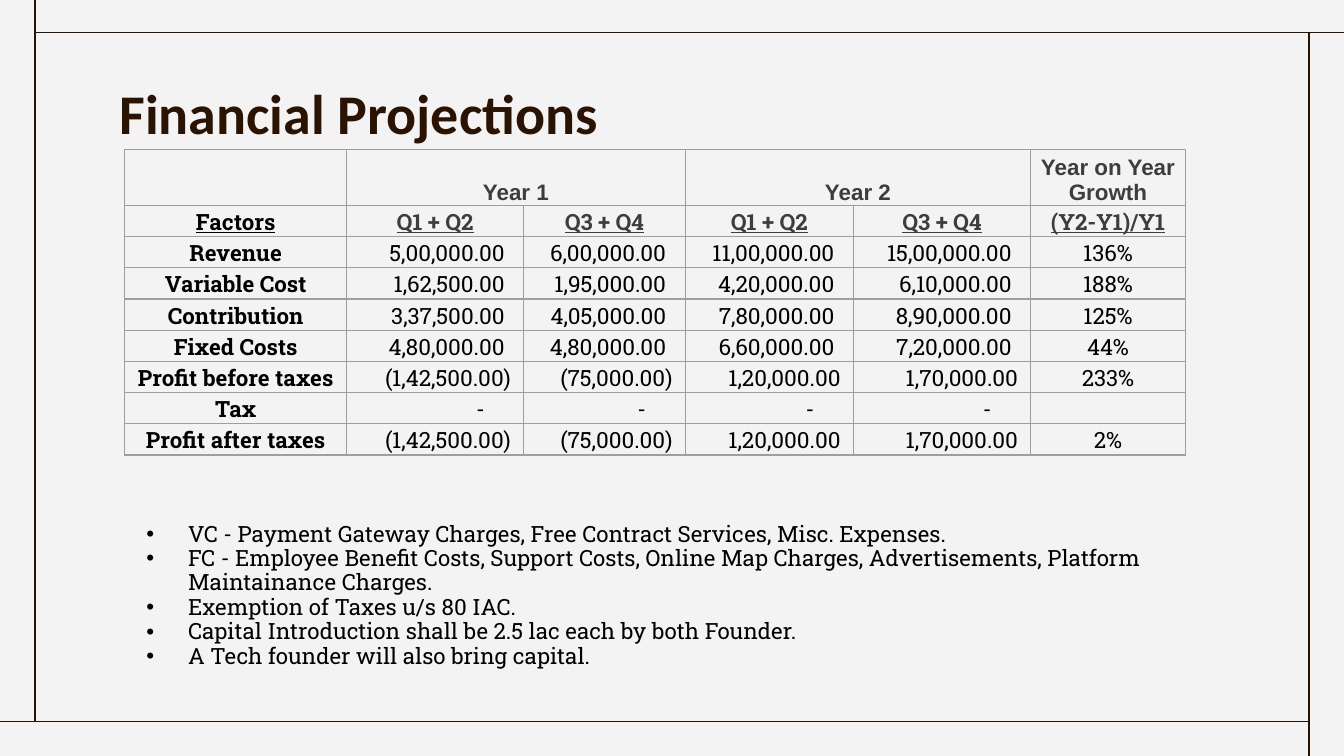
from dataclasses import dataclass

from lxml.etree import SubElement
from pptx import Presentation
from pptx.dml.color import RGBColor
from pptx.enum.shapes import MSO_CONNECTOR
from pptx.enum.text import MSO_ANCHOR, MSO_AUTO_SIZE, PP_ALIGN
from pptx.oxml.ns import qn
from pptx.util import Cm, Pt


@dataclass(frozen=True)
class Theme:
    paper: str = "F3F3F3"
    brown: str = "2A1401"
    black: str = "000000"
    heading: str = "3D3D3D"
    grid: str = "9E9E9E"
    title_size: int = 30
    text_size: int = 12
    rule_width: float = 0.75
    title_font: str = "Calibri"
    heading_font: str = "Arial"
    text_font: str = "Roboto Slab"


theme = Theme()


def write(paragraph, text, font=theme.text_font, size=theme.text_size, color=theme.black,
          bold=False, underline=False, align=PP_ALIGN.LEFT):
    paragraph.text = text
    paragraph.alignment = align
    for run in paragraph.runs:
        run.font.name = font
        run.font.size = Pt(size)
        run.font.bold = bold
        run.font.underline = underline
        run.font.color.rgb = RGBColor.from_string(color)
    if not text:
        SubElement(paragraph._p, qn("a:endParaRPr"), sz=str(size * 100))


presentation = Presentation()
presentation.slide_width = Cm(25.4)
presentation.slide_height = Cm(14.29)
slide = presentation.slides.add_slide(presentation.slide_layouts[1])
slide.background.fill.solid()
slide.background.fill.fore_color.rgb = RGBColor.from_string(theme.paper)

frame_lines = [
    (0.66, 0, 0.66, 13.64),
    (0.66, 0.61, 25.4, 0.61),
    (24.74, 0.61, 24.74, 14.29),
    (0, 13.64, 24.74, 13.64),
]
for ends in frame_lines:
    frame_line = slide.shapes.add_connector(MSO_CONNECTOR.STRAIGHT, *map(Cm, ends))
    frame_line.line.color.rgb = RGBColor.from_string(theme.brown)
    frame_line.line.width = Pt(theme.rule_width)
    SubElement(frame_line._element.spPr, qn("a:effectLst"))

title = slide.shapes.title
title.left, title.top, title.width, title.height = Cm(2.01), Cm(1.24), Cm(21.41), Cm(1.6)
heading = title.text_frame
heading.auto_size = MSO_AUTO_SIZE.NONE
heading.vertical_anchor = MSO_ANCHOR.TOP
heading.margin_left = heading.margin_right = Cm(0.25)
heading.margin_top = heading.margin_bottom = Cm(0.25)
write(heading.paragraphs[0], "Financial Projections", font=theme.title_font,
      size=theme.title_size, color=theme.brown, bold=True)

projections = [
    ("", "Year 1", "", "Year 2", "", "Year on Year\vGrowth"),
    ("Factors", "Q1 + Q2", "Q3 + Q4", "Q1 + Q2", "Q3 + Q4", "(Y2-Y1)/Y1"),
    ("Revenue", "5,00,000.00", "6,00,000.00", "11,00,000.00", "15,00,000.00", "136%"),
    ("Variable Cost", "1,62,500.00", "1,95,000.00", "4,20,000.00", "6,10,000.00", "188%"),
    ("Contribution", "3,37,500.00", "4,05,000.00", "7,80,000.00", "8,90,000.00", "125%"),
    ("Fixed Costs", "4,80,000.00", "4,80,000.00", "6,60,000.00", "7,20,000.00", "44%"),
    ("Profit before taxes", "(1,42,500.00)", "(75,000.00)", "1,20,000.00", "1,70,000.00", "233%"),
    ("Tax", "-", "-", "-", "-", ""),
    ("Profit after taxes", "(1,42,500.00)", "(75,000.00)", "1,20,000.00", "1,70,000.00", "2%"),
]
column_widths = [4.19, 3.35, 3.05, 3.18, 3.35, 2.92]
header_height, row_height = 1.06, 0.58
amount_inset = 0.36
special_insets = {"Profit before taxes": 0.24, "Tax": 0.74, "Profit after taxes": 0.24}

table = slide.shapes.add_table(
    len(projections), len(column_widths), Cm(2.36), Cm(2.82), Cm(sum(column_widths)),
    Cm(header_height + row_height * (len(projections) - 1))).table
table.first_row = table.horz_banding = False
for column, width in zip(table.columns, column_widths):
    column.width = Cm(width)
for index, row in enumerate(table.rows):
    row.height = Cm(row_height if index else header_height)

for row_index, entries in enumerate(projections):
    for column_index, entry in enumerate(entries):
        cell = table.cell(row_index, column_index)
        is_amount = row_index > 1 and 1 <= column_index <= 4
        is_heading = row_index < 2 and column_index > 0
        cell.margin_left = cell.margin_top = Cm(0.03)
        cell.margin_right = Cm(special_insets.get(entries[0], amount_inset) if is_amount else 0.03)
        cell.margin_bottom = 0
        cell.vertical_anchor = MSO_ANCHOR.BOTTOM
        cell.fill.background()
        write(cell.text_frame.paragraphs[0], entry,
              font=theme.text_font if row_index else theme.heading_font,
              color=theme.heading if is_heading else theme.black,
              bold=row_index < 2 or column_index == 0,
              underline=row_index == 1,
              align=PP_ALIGN.RIGHT if is_amount else PP_ALIGN.CENTER)
        properties = cell._tc.get_or_add_tcPr()
        for position, side in enumerate(("a:lnL", "a:lnR", "a:lnT", "a:lnB")):
            border = SubElement(properties, qn(side), w=str(Pt(theme.rule_width)))
            SubElement(SubElement(border, qn("a:solidFill")), qn("a:srgbClr"), val=theme.grid)
            properties.insert(position, border)

for first_half in (1, 3):
    table.cell(0, first_half).merge(table.cell(0, first_half + 1))

assumptions = [
    "VC - Payment Gateway Charges, Free Contract Services, Misc. Expenses.",
    "FC - Employee Benefit Costs, Support Costs, Online Map Charges, Advertisements, "
    "Platform Maintainance Charges.",
    "Exemption of Taxes u/s 80 IAC.",
    "Capital Introduction shall be 2.5 lac each by both Founder.",
    "A Tech founder will also bring capital.",
]
body = slide.placeholders[1]
body.left, body.top, body.width, body.height = Cm(2.51), Cm(9.75), Cm(19.89), Cm(3.33)
notes = body.text_frame
notes.auto_size = MSO_AUTO_SIZE.NONE
notes.vertical_anchor = MSO_ANCHOR.TOP
for index, assumption in enumerate(assumptions):
    paragraph = notes.add_paragraph() if index else notes.paragraphs[0]
    write(paragraph, assumption)
    paragraph.space_before = Pt(0)
    paragraph.line_spacing = 0.91
    indents = paragraph._p.get_or_add_pPr()
    indents.set("marL", str(Cm(0.79)))
    indents.set("indent", str(-Cm(0.79)))

presentation.save("out.pptx")
